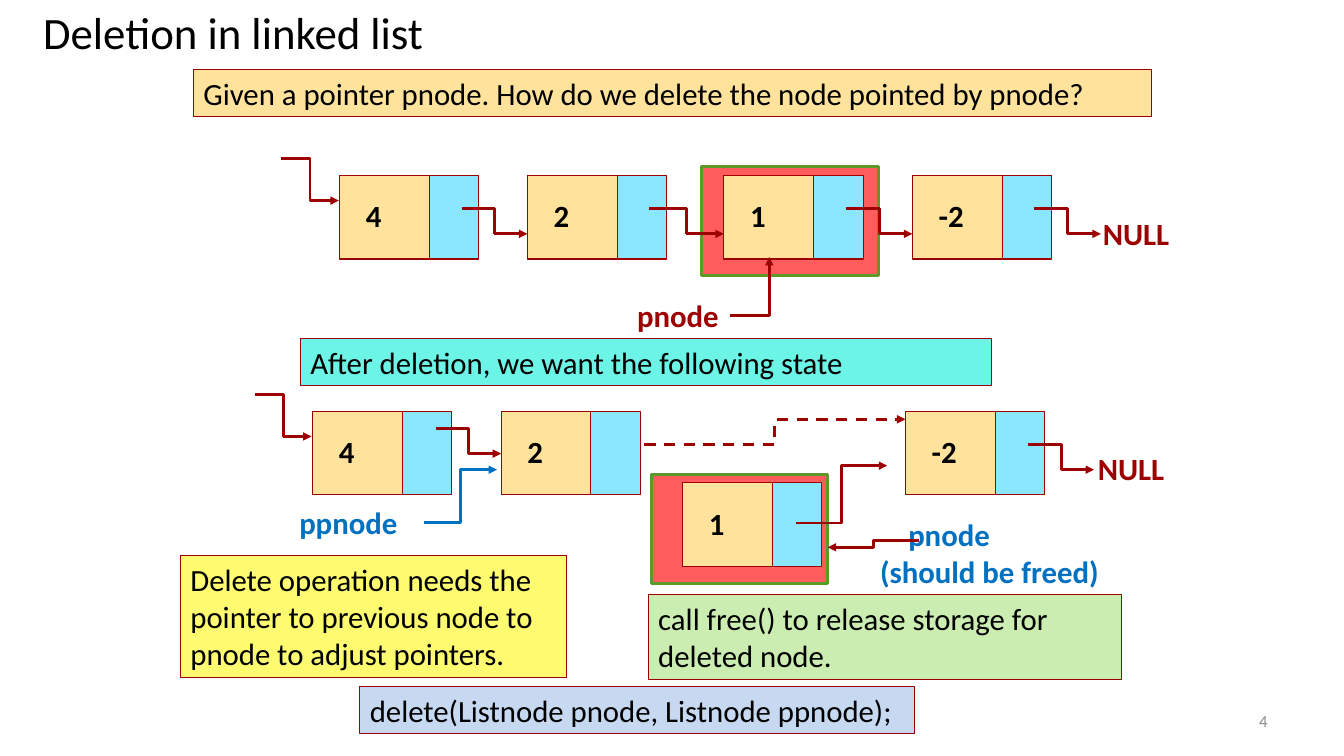
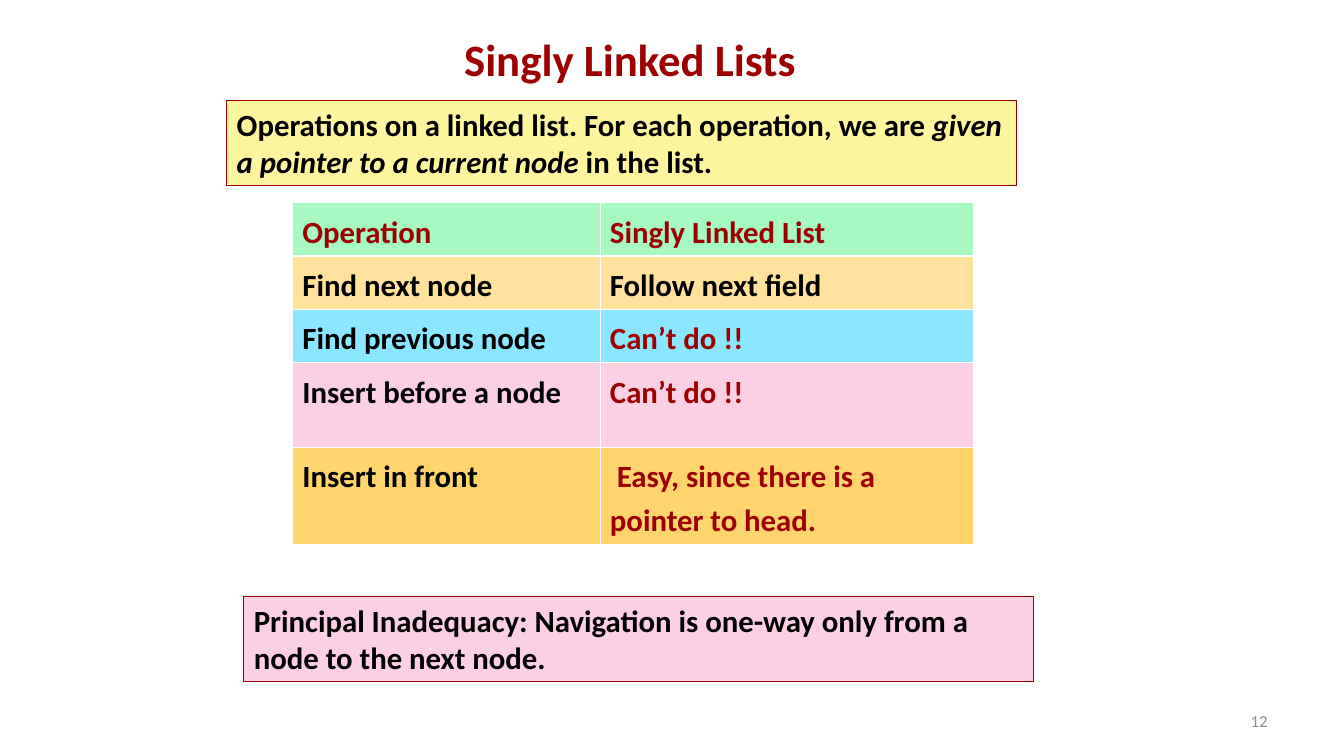
from lxml import etree
from pptx import Presentation
from pptx import util as u
from pptx.dml.color import RGBColor
from pptx.enum import dml, shapes, text
from pptx.oxml.ns import qn

PX = 9144
FONT = "Calibri"
RED = RGBColor(0x9D, 0x00, 0x00)
BLACK = RGBColor(0x00, 0x00, 0x00)
WHITE = RGBColor(0xFF, 0xFF, 0xFF)
BLUE = RGBColor(0x00, 0x70, 0xC0)
GREY = RGBColor(0x8C, 0x8C, 0x8C)
SAND = RGBColor(0xFF, 0xE3, 0x9D)
SKY = RGBColor(0x8B, 0xE6, 0xFF)
CORAL = RGBColor(0xFF, 0x5D, 0x5D)
LEAF = RGBColor(0x5C, 0x99, 0x29)
LIME = RGBColor(0xCC, 0xED, 0xB1)
AQUA = RGBColor(0x6C, 0xF4, 0xE7)
YELLOW = RGBColor(0xFE, 0xFB, 0x71)
CREAM = RGBColor(0xFD, 0xF6, 0x9F)
PALE_BLUE = RGBColor(0xC6, 0xD9, 0xF1)
PINK = RGBColor(0xFB, 0xD0, 0xE4)
MINT = RGBColor(0xA5, 0xF9, 0xC1)
GOLD = RGBColor(0xFE, 0xD4, 0x6C)
LEFT, CENTER, RIGHT = text.PP_ALIGN.LEFT, text.PP_ALIGN.CENTER, text.PP_ALIGN.RIGHT
TOP, MIDDLE = text.MSO_ANCHOR.TOP, text.MSO_ANCHOR.MIDDLE


def px(*lengths):
    """Turn px lengths into EMU."""
    return [u.Emu(n * PX) for n in lengths]


def write(tf, words, color=BLACK, size=22, bold=False, align=LEFT, anchor=TOP):
    """Fill a text frame and format its runs."""
    tf.text = words
    tf.word_wrap = True
    tf.vertical_anchor = anchor
    for p in tf.paragraphs:
        p.alignment = align
        for r in p.runs:
            f = r.font
            f.name, f.size, f.bold = FONT, u.Pt(size), bold
            f.color.rgb = color


def label(s, box, words, color=RED, **style):
    """Add a plain text box."""
    sp = s.shapes.add_textbox(*px(*box))
    write(sp.text_frame, words, color, **style)
    return sp


def rect(s, box, fill, line=RED, width=0.75):
    """Add a filled, outlined rectangle."""
    sp = s.shapes.add_shape(shapes.MSO_SHAPE.RECTANGLE, *px(*box))
    sp.shadow.inherit = False
    sp.fill.solid()
    sp.fill.fore_color.rgb = fill
    sp.line.color.rgb = line
    sp.line.width = u.Pt(width)
    return sp


def note(s, box, fill, words, bold=False):
    """Add a coloured note box."""
    sp = rect(s, box, fill)
    write(sp.text_frame, words, bold=bold)
    return sp


def arrow(s, x1, y1, x2, y2, color=RED, dashed=False, corner=False):
    """Add an elbow arrow, with a single corner if asked."""
    c = s.shapes.add_connector(shapes.MSO_CONNECTOR.ELBOW, *px(x1, y1, x2, y2))
    c.line.color.rgb = color
    c.line.width = u.Pt(2)
    if dashed:
        c.line.dash_style = dml.MSO_LINE.DASH
    sp_pr = c._element.spPr
    if corner:
        sp_pr.find(qn("a:prstGeom")).set("prst", "bentConnector2")
    etree.SubElement(sp_pr.find(qn("a:ln")), qn("a:tailEnd"), type="triangle")
    etree.SubElement(sp_pr, qn("a:effectLst"))


def node(s, x, y, value):
    """Draw a list node: value cell and link cell."""
    sp = rect(s, (x, y, 89, 83), SAND)
    tf = sp.text_frame
    tf.margin_left, tf.margin_right, tf.margin_bottom = px(26, 0, 8)
    write(tf, value, bold=True, anchor=MIDDLE)
    rect(s, (x + 89, y, 49, 83), SKY)


def doomed_frame(s, x, y):
    """Draw the highlight behind the node being deleted."""
    rect(s, (x, y, 175, 108), CORAL, LEAF, 2)


def list_before(s, x, y):
    """Draw the list before deletion."""
    top = y + 17
    lefts = [x + dx for dx in (58, 244, 439, 626)]
    doomed_frame(s, x + 417, y + 8)
    for left, value in zip(lefts, ("4", "2", "1", "-2")):
        node(s, left, top, value)
    for left, target in zip(lefts, lefts[1:] + [x + 813]):
        arrow(s, left + 121, top + 33, target, top + 58)
    arrow(s, x, y, x + 57, y + 42)
    label(s, (x + 805, y + 51, 95, 47), "NULL", bold=True)
    label(s, (x + 343, y + 132, 106, 47), "pnode", bold=True)
    arrow(s, x + 445, y + 156, x + 484, y + 98, corner=True)


def list_after(s, x, y):
    """Draw the list after deletion."""
    top = y + 17
    first, second, last = x + 57, x + 244, x + 645
    for left, value in ((first, "4"), (second, "2"), (last, "-2")):
        node(s, left, top, value)
    arrow(s, x, y, x + 56, y + 42)
    arrow(s, first + 122, top + 17, second, top + 42)
    arrow(s, second + 142, top + 33, last, top + 8, dashed=True)
    arrow(s, last + 122, top + 33, last + 187, top + 58)
    label(s, (x + 826, y + 50, 106, 47), "NULL", bold=True)
    label(s, (x + 34, y + 104, 133, 47), "ppnode", BLUE, bold=True)
    arrow(s, x + 168, y + 127, x + 240, y + 75, BLUE)


def freed_node(s, x, y):
    """Draw the detached node and its pointer."""
    sp = label(s, (x + 217, y + 36, 291, 84), "pnode\n(should be freed)", BLUE, bold=True)
    p = sp.text_frame.paragraphs[0]
    p._p.get_or_add_pPr().set("marL", str(28 * PX))
    doomed_frame(s, x, y)
    node(s, x + 31, y + 8, "1")
    arrow(s, x + 144, y + 48, x + 234, y - 9)
    arrow(s, x + 266, y + 65, x + 175, y + 72)


def border(cell, side, width):
    """Give one side of a cell a white border."""
    ln = etree.SubElement(cell._tc.get_or_add_tcPr(), qn("a:" + side), w=str(u.Pt(width)))
    fill = etree.SubElement(ln, qn("a:solidFill"))
    etree.SubElement(fill, qn("a:srgbClr"), val=str(WHITE))


def operations_table(s, x, y):
    """Add the table of list operations."""
    rows = (
        (47, MINT, "Operation", RED, "Singly Linked List", RED),
        (47, SAND, "Find next node", BLACK, "Follow next field", BLACK),
        (47, SKY, "Find previous node", BLACK, "Can’t do !!", RED),
        (84, PINK, "Insert before a node", BLACK, "Can’t do !!", RED),
        (84, GOLD, "Insert in front", BLACK, " Easy, since there is a pointer to head.", RED),
    )
    tbl = s.shapes.add_table(len(rows), 2, *px(x, y, 675, 309)).table
    tbl.horz_banding = False
    for col, width in zip(tbl.columns, px(305, 370)):
        col.width = width
    for i, (height, fill, *pairs) in enumerate(rows):
        tbl.rows[i].height = px(height)[0]
        for j in range(2):
            cell = tbl.cell(i, j)
            write(cell.text_frame, pairs[2 * j], pairs[2 * j + 1], bold=True)
            cell.text_frame.paragraphs[0].line_spacing = 1.17
            for side in ("lnL", "lnR", "lnT", "lnB"):
                heavy = (i, side) in ((0, "lnB"), (1, "lnT"))
                border(cell, side, 1.47 if heavy else 0.45)
            cell.fill.solid()
            cell.fill.fore_color.rgb = fill


def new_slide(prs, title, box, number, **style):
    """Add a blank slide with title and slide number."""
    s = prs.slides.add_slide(prs.slide_layouts[6])
    label(s, box, title, size=32, anchor=MIDDLE, **style)
    label(s, (956, 695, 311, 40), number, GREY, size=12, align=RIGHT, anchor=MIDDLE)
    return s


def deletion_slide(prs):
    """Build the slide on deleting a node."""
    s = new_slide(prs, "Deletion in linked list", (33, 0, 900, 63), "4", color=BLACK)
    note(s, (192, 69, 950, 47), SAND,
         "Given a pointer pnode. How do we delete the node pointed by pnode?")
    list_before(s, 279, 157)
    note(s, (298, 336, 685, 47), AQUA, "After deletion, we want the following state")
    list_after(s, 253, 391)
    freed_node(s, 646, 471)
    note(s, (643, 590, 469, 84), LIME, "call free() to release storage for deleted node.")
    note(s, (179, 551, 383, 121), YELLOW,
         "Delete operation needs the pointer to previous node to pnode to adjust pointers.")
    note(s, (357, 681, 550, 47), PALE_BLUE, "delete(Listnode pnode, Listnode ppnode);")


def operations_slide(prs):
    """Build the slide on list operations."""
    s = new_slide(prs, "Singly Linked Lists", (375, 27, 500, 63), "12",
                  bold=True, align=CENTER)
    operations_table(s, 290, 201)
    given = "given a pointer to a current node "
    sp = note(s, (225, 100, 783, 84), CREAM, "", bold=True)
    p = sp.text_frame.paragraphs[0]
    for words in ("Operations on a linked list. For each operation, we are ", given, "in the list."):
        r = p.add_run()
        r.text = words
        f = r.font
        f.name, f.size, f.bold, f.italic = FONT, u.Pt(22), True, words == given
        f.color.rgb = BLACK
    note(s, (242, 592, 783, 84), PINK,
         "Principal Inadequacy: Navigation is one-way only from a node to the next node.",
         bold=True)


def main():
    """Build and save the presentation."""
    prs = Presentation()
    prs.slide_width, prs.slide_height = px(1333, 750)
    deletion_slide(prs)
    operations_slide(prs)
    prs.save("out.pptx")


if __name__ == "__main__":
    main()
